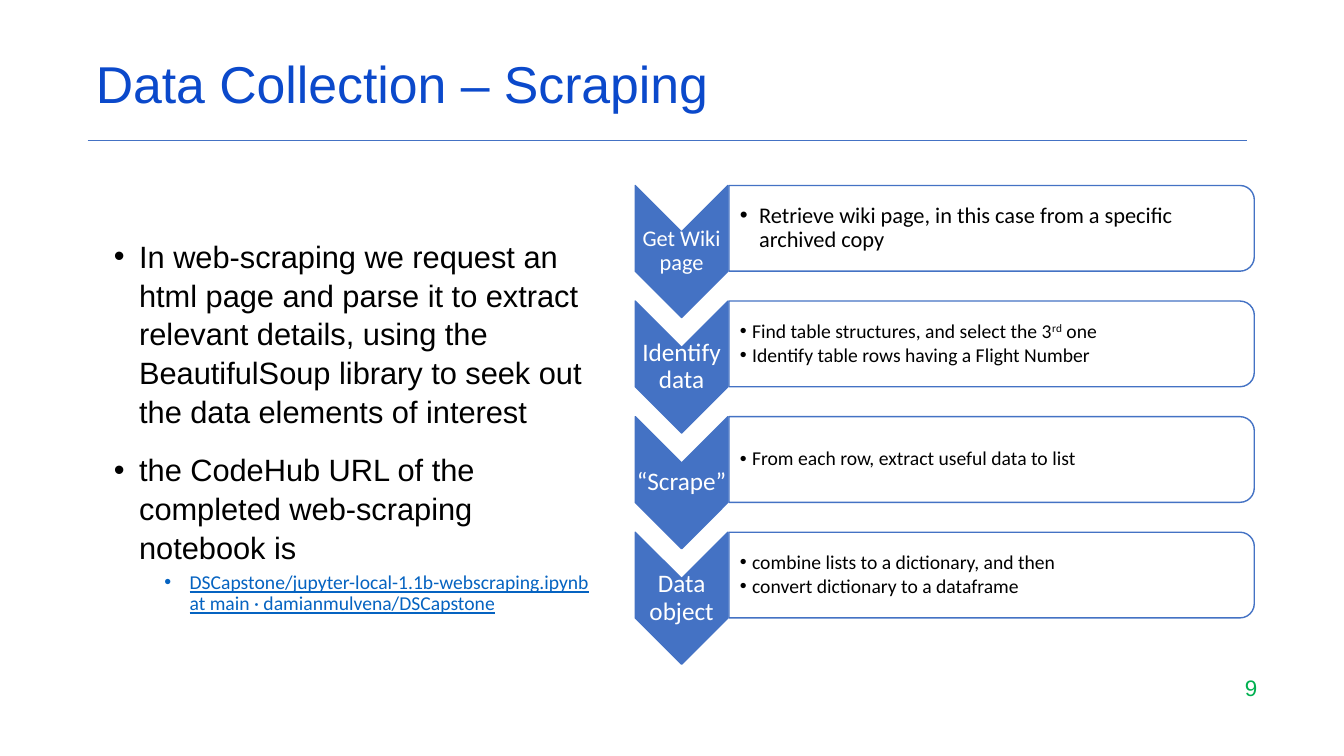
from lxml.etree import SubElement
from pptx import Presentation
from pptx.dml.color import RGBColor
from pptx.enum.shapes import MSO_CONNECTOR, MSO_SHAPE
from pptx.enum.text import MSO_ANCHOR as Anchor, MSO_AUTO_SIZE, PP_ALIGN as Align
from pptx.oxml.ns import qn
from pptx.util import Emu, Pt

PX = 9144  # 100 px to the inch
BLUE, WHITE, BLACK = "4472C4", "FFFFFF", "000000"

# Label, label size, bullet size, bullet indent, bullets (each a list of text and superscript flag)
STEPS = [
    ("Get Wiki page", 16, 16, 19,
     [[("Retrieve wiki page, in this case from a specific archived copy", False)]]),
    ("Identify data", 18, 14, 12,
     [[("Find table structures, and select the 3", False), ("rd", True), (" one", False)],
      [("Identify table rows having a Flight Number", False)]]),
    ("“Scrape”", 18, 14, 12,
     [[("From each row, extract useful data to list", False)]]),
    ("Data object", 18, 14, 12,
     [[("combine lists to a dictionary, and then", False)],
      [("convert dictionary to a dataframe", False)]]),
]


def px(length):
    return Emu(round(length * PX))


def color(value):
    return RGBColor.from_string(value)


def place(shape, box):
    shape.left, shape.top, shape.width, shape.height = map(px, box)


def set_font(paragraph, name, size, value):
    font = paragraph.font
    font.name, font.size = name, Pt(size)
    font.color.rgb = color(value)


def set_bullet(paragraph, margin, hanging):
    properties = paragraph._p.get_or_add_pPr()
    properties.set("marL", str(px(margin)))
    properties.set("indent", str(-px(hanging)))
    SubElement(properties, qn("a:buFont")).set("typeface", "Arial")
    SubElement(properties, qn("a:buChar")).set("char", "•")


def set_frame(frame, insets=None):
    frame.word_wrap = True
    frame.auto_size = MSO_AUTO_SIZE.NONE
    frame.vertical_anchor = Anchor.MIDDLE
    if insets:
        frame.margin_left, frame.margin_top, frame.margin_right, frame.margin_bottom = map(px, insets)


def add_text_box(slide, box, insets=None):
    frame = slide.shapes.add_textbox(*map(px, box)).text_frame
    set_frame(frame, insets)
    return frame


def add_turned_shape(slide, kind, box, fill):
    """Add a preset turned a quarter clockwise, so that it covers the box."""
    left, top, width, height = box
    shift = (width - height) / 2
    shape = slide.shapes.add_shape(kind, *map(px, (left + shift, top - shift, height, width)))
    shape.rotation = 90
    shape.shadow.inherit = False
    shape.fill.solid()
    shape.fill.fore_color.rgb = color(fill)
    shape.line.color.rgb = color(BLUE)
    shape.line.width = Pt(1)


def add_title(slide, box):
    title = slide.shapes.title
    place(title, box)
    set_frame(title.text_frame)
    paragraph = title.text_frame.paragraphs[0]
    paragraph.text = "Data Collection – Scraping"
    paragraph.alignment = Align.LEFT
    paragraph.line_spacing = 0.9
    set_font(paragraph, "Arial", 37, "0B49CB")


def add_rule(slide, left, right, top):
    rule = slide.shapes.add_connector(MSO_CONNECTOR.STRAIGHT, px(left), px(top), px(right), px(top))
    rule.line.color.rgb = color(BLUE)
    rule.line.width = Pt(0.5)
    SubElement(rule._element.spPr, qn("a:effectLst"))


def add_summary(slide, box):
    body = slide.placeholders[1]
    place(body, box)
    frame = body.text_frame
    set_frame(frame)
    points = [
        "In web-scraping we request an html page and parse it to extract relevant details, "
        "using the BeautifulSoup library to seek out the data elements of interest",
        "the CodeHub URL of the completed web-scraping notebook is",
    ]
    for index, text in enumerate(points):
        paragraph = frame.add_paragraph() if index else frame.paragraphs[0]
        paragraph.text = text
        set_bullet(paragraph, 25, 25)
        paragraph.space_before = Pt(14 if index else 0)
        paragraph.line_spacing = 1.05
        set_font(paragraph, "Arial", 22, BLACK)

    # Notebook reference
    reference = frame.add_paragraph()
    reference.text = "DSCapstone/jupyter-local-1.1b-webscraping.ipynb at main · damianmulvena/DSCapstone"
    reference.level = 1
    set_bullet(reference, 75, 25)
    reference.space_before = Pt(5)
    reference.line_spacing = 0.9
    set_font(reference, "Calibri", 14, "0563C1")
    reference.font.underline = True


def add_step(slide, box, step):
    label, label_size, bullet_size, indent, bullets = step
    left, top, width, height = box
    arrow_width, panel_height = 92, 85
    panel_left, panel_width = left + arrow_width + 1, width - arrow_width - 1

    # Arrow and its label
    add_turned_shape(slide, MSO_SHAPE.CHEVRON, (left, top, arrow_width, height), BLUE)
    frame = add_text_box(slide, (left, top + arrow_width / 2, arrow_width, height - arrow_width),
                         (1, 1, 1, 1))
    paragraph = frame.paragraphs[0]
    paragraph.text = label
    paragraph.alignment = Align.CENTER
    paragraph.line_spacing = 0.9
    set_font(paragraph, "Calibri", label_size, WHITE)

    # Panel and its bullets
    add_turned_shape(slide, MSO_SHAPE.ROUND_2_SAME_RECTANGLE,
                     (panel_left, top, panel_width, panel_height), WHITE)
    frame = add_text_box(slide, (panel_left, top + 4, panel_width - 4, panel_height - 8),
                         (11, 1, 1, 1))
    for index, pieces in enumerate(bullets):
        paragraph = frame.add_paragraph() if index else frame.paragraphs[0]
        for text, raised in pieces:
            run = paragraph.add_run()
            run.text = text
            if raised:
                run._r.get_or_add_rPr().set("baseline", "30000")
        set_bullet(paragraph, indent, indent)
        paragraph.line_spacing = 0.9
        paragraph.space_after = Pt(2)
        set_font(paragraph, "Calibri", bullet_size, BLACK)


def add_process(slide, box):
    left, top, width, height = box
    step_height = 131
    pitch = (height - step_height) / (len(STEPS) - 1)
    for index, step in enumerate(STEPS):
        add_step(slide, (left, top + index * pitch, width, step_height), step)


def add_page_number(slide, box):
    paragraph = add_text_box(slide, box).paragraphs[0]
    paragraph.text = "9"
    paragraph.alignment = Align.RIGHT
    set_font(paragraph, "Arial", 16, "00B050")


def main():
    presentation = Presentation()
    presentation.slide_width, presentation.slide_height = px(1333), px(750)
    slide = presentation.slides.add_slide(presentation.slide_layouts[1])
    add_page_number(slide, (957, 660, 300, 44))
    add_rule(slide, 87, 1237, 139)
    add_title(slide, (85, 56, 1150, 60))
    add_summary(slide, (103, 184, 497, 476))
    add_process(slide, (630, 184, 614, 475))
    presentation.save("out.pptx")


if __name__ == "__main__":
    main()
